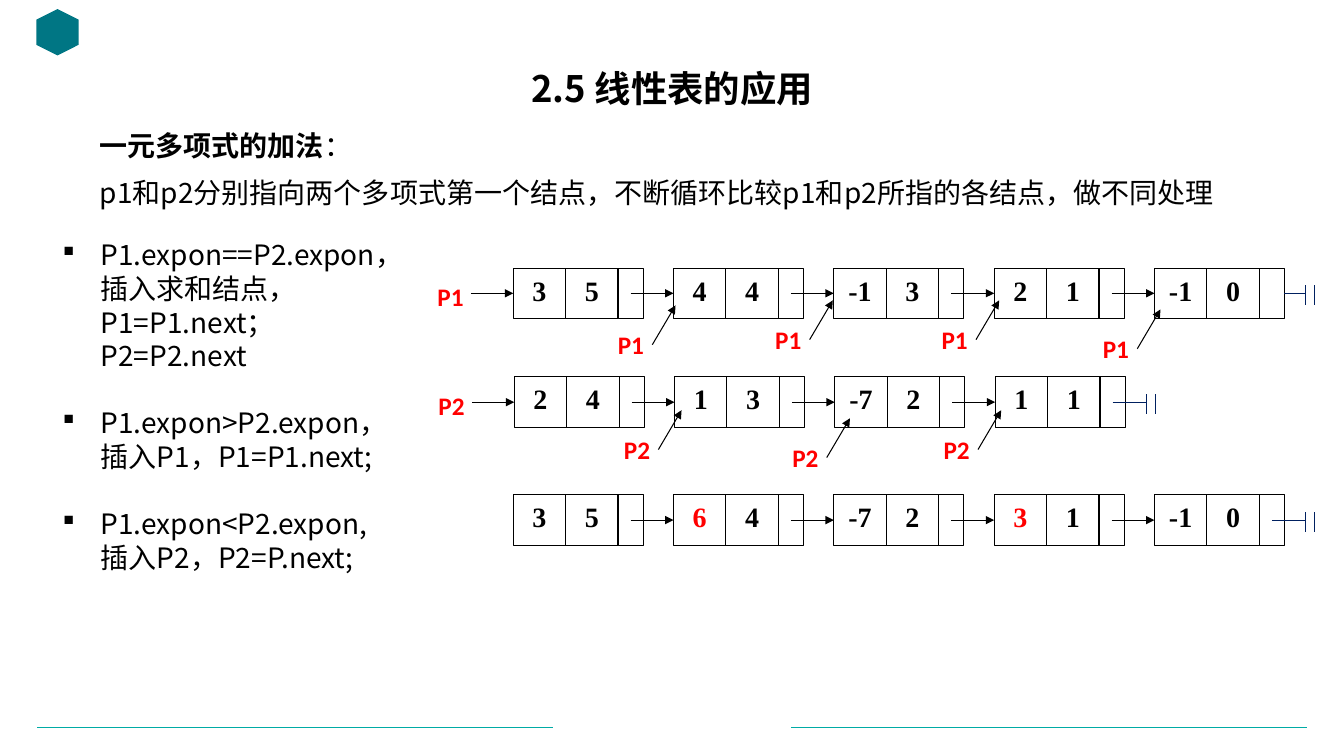
from lxml import etree
from pptx import Presentation
from pptx.dml.color import RGBColor
from pptx.enum.shapes import MSO_CONNECTOR, MSO_SHAPE
from pptx.enum.text import MSO_ANCHOR, PP_ALIGN
from pptx.oxml.ns import qn
from pptx.util import Inches, Pt

STRAIGHT = MSO_CONNECTOR.STRAIGHT
RECTANGLE, HEXAGON = MSO_SHAPE.RECTANGLE, MSO_SHAPE.HEXAGON
TOP, MIDDLE = MSO_ANCHOR.TOP, MSO_ANCHOR.MIDDLE
LEFT, CENTER = PP_ALIGN.LEFT, PP_ALIGN.CENTER
LEFT_SIDE = 1

COLORS = {"black": "000000", "white": "FFFFFF", "red": "FF0000",
          "navy": "002060", "teal": "00ABA5", "dark_teal": "007684"}
CJK, SERIF, SANS = "Noto Sans CJK SC", "Times New Roman", "Calibri"

# Node geometry in inches
VALUE_WIDTH, LINK_WIDTH, NODE_HEIGHT = 0.52, 0.25, 0.5
NODE_PITCH = 1.59
LINK_MIDDLE = 2 * VALUE_WIDTH + LINK_WIDTH / 2


def color(name):
    return RGBColor.from_string(COLORS[name])


def style_paragraph(paragraph, size, font_name, color_name="black", bold=False,
                    align=LEFT):
    paragraph.alignment = align
    font = paragraph.font
    font.size, font.name, font.bold = Pt(size), font_name, bold
    font.color.rgb = color(color_name)
    properties = paragraph._p.get_or_add_pPr().find(qn("a:defRPr"))
    etree.SubElement(properties, qn("a:ea"), typeface=font_name)


def add_text_frame(slide, left, top, width, height, anchor=TOP):
    box = slide.shapes.add_textbox(
        Inches(left), Inches(top), Inches(width), Inches(height))
    box.text_frame.word_wrap = True
    box.text_frame.vertical_anchor = anchor
    return box.text_frame


def add_line(slide, start, end, color_name="black", width=0.75, arrow=False):
    connector = slide.shapes.add_connector(
        STRAIGHT, *(Inches(value) for value in (*start, *end)))
    connector.line.color.rgb = color(color_name)
    connector.line.width = Pt(width)
    if arrow:
        etree.SubElement(connector.line._get_or_add_ln(), qn("a:tailEnd"), type="triangle")
    etree.SubElement(connector._element.spPr, qn("a:effectLst"))
    return connector


def add_frame(slide):
    """Footer rules and the plain corner ornament."""
    for left in (0.37, 7.85):
        add_line(slide, (left, 7.22), (left + 5.11, 7.22), "teal", 0.5)
    ornament = slide.shapes.add_shape(
        HEXAGON, Inches(0.34), Inches(0.11), Inches(0.46), Inches(0.42))
    ornament.rotation = 90
    ornament.shadow.inherit = False
    ornament.fill.solid()
    ornament.fill.fore_color.rgb = color("dark_teal")
    ornament.line.fill.background()


def add_heading(slide, left, top, width, height):
    paragraph = add_text_frame(slide, left, top, width, height, MIDDLE).paragraphs[0]
    paragraph.text = "2.5 线性表的应用"
    paragraph.line_spacing = 0.9
    style_paragraph(paragraph, 26, CJK, bold=True, align=CENTER)


def add_introduction(slide, left, top, width, height):
    frame = add_text_frame(slide, left, top, width, height)
    topic, explanation = frame.paragraphs[0], frame.add_paragraph()
    for text, bold in (("一元多项式的加法", True), ("：", False)):
        run = topic.add_run()
        run.text, run.font.bold = text, bold
    explanation.text = ("p1和p2分别指向两个多项式第一个结点，"
                        "不断循环比较p1和p2所指的各结点，做不同处理")
    for paragraph, spacing in ((topic, 26.4), (explanation, 33.6)):
        paragraph.line_spacing = Pt(spacing)
        style_paragraph(paragraph, 20, CJK)


def add_rules(slide, left, top, width, height):
    """Bulleted list of the three comparison cases."""
    rules = ("P1.expon==P2.expon，\v插入求和结点，\vP1=P1.next；\vP2=P2.next",
             "P1.expon>P2.expon，\v插入P1，P1=P1.next;",
             "P1.expon<P2.expon,\v插入P2，P2=P.next;")
    frame = add_text_frame(slide, left, top, width, height)
    for index, rule in enumerate(rules):
        paragraph = frame.add_paragraph() if index else frame.paragraphs[0]
        paragraph.text = rule
        paragraph.line_spacing = paragraph.space_after = Pt(24)
        properties = paragraph._p.get_or_add_pPr()
        properties.set("marL", str(Inches(0.38)))
        properties.set("indent", str(-Inches(0.38)))
        etree.SubElement(properties, qn("a:buFont"), typeface="Wingdings")
        etree.SubElement(properties, qn("a:buChar"), char="§")
        style_paragraph(paragraph, 20, CJK)


def add_cell(slide, left, top, width, text="", color_name="black"):
    cell = slide.shapes.add_shape(
        RECTANGLE, Inches(left), Inches(top), Inches(width), Inches(NODE_HEIGHT))
    cell.shadow.inherit = False
    cell.fill.solid()
    cell.fill.fore_color.rgb = color("white")
    cell.line.color.rgb = color("black")
    cell.line.width = Pt(0.75)
    if text:
        frame = cell.text_frame
        frame.vertical_anchor = TOP
        frame.margin_left = frame.margin_right = 0
        frame.paragraphs[0].text = text
        style_paragraph(frame.paragraphs[0], 20, SERIF, color_name, True, CENTER)
    return cell


def add_list_end(slide, left, middle, bar_left):
    """Null mark that closes a linked list."""
    add_line(slide, (left, middle), (bar_left, middle), "navy", 0.5)
    for bar in (bar_left, bar_left + 0.09):
        add_line(slide, (bar, middle - 0.08), (bar, middle + 0.12), "navy", 0.5)


def add_linked_list(slide, left, top, nodes, red_nodes=(), end_start=LINK_MIDDLE):
    """Draw a row of nodes and return its first cell."""
    middle = top + NODE_HEIGHT / 2
    first_cells = []
    for index, (coefficient, exponent) in enumerate(nodes):
        x = left + index * NODE_PITCH
        tint = "red" if index in red_nodes else "black"
        first_cells.append(add_cell(slide, x, top, VALUE_WIDTH, coefficient, tint))
        add_cell(slide, x + VALUE_WIDTH, top, VALUE_WIDTH, exponent)
        add_cell(slide, x + 2 * VALUE_WIDTH, top, LINK_WIDTH)
    for index, target in enumerate(first_cells[1:]):
        x = left + index * NODE_PITCH
        arrow = add_line(slide, (x + LINK_MIDDLE, middle),
                         (x + NODE_PITCH, middle), arrow=True)
        arrow.end_connect(target, LEFT_SIDE)
    add_list_end(slide, x + NODE_PITCH + end_start, middle, x + NODE_PITCH + 1.5)
    return first_cells[0]


def add_pointer_label(slide, left, top, name):
    paragraph = add_text_frame(slide, left, top, 0.6, 0.4).paragraphs[0]
    paragraph.text = name
    style_paragraph(paragraph, 18, SANS, "red", True)


def add_polynomial(slide, left, top, nodes, name, moves, end_start=LINK_MIDDLE):
    """Linked list with its head pointer and the later pointer positions."""
    head = add_linked_list(slide, left, top, nodes, end_start=end_start)
    middle = top + NODE_HEIGHT / 2
    add_pointer_label(slide, left - 0.85, middle - 0.17, name)
    arrow = add_line(slide, (left - 0.42, middle), (left, middle), arrow=True)
    arrow.end_connect(head, LEFT_SIDE)
    for x, y in moves:
        add_pointer_label(slide, x, y, name)
        add_line(slide, (x + 0.44, y + 0.2), (x + 0.67, y - 0.19), arrow=True)


def main():
    presentation = Presentation()
    presentation.slide_width, presentation.slide_height = Inches(13.33), Inches(7.5)
    slide = presentation.slides.add_slide(presentation.slide_layouts[6])

    add_frame(slide)
    add_heading(slide, 0.92, 0.62, 11.5, 0.57)
    add_introduction(slide, 0.89, 1.19, 11.84, 1.12)
    add_rules(slide, 0.52, 2.31, 3.81, 3.51)

    # Two operands and their sum
    add_polynomial(
        slide, 5.09, 2.66,
        [("3", "5"), ("4", "4"), ("-1", "3"), ("2", "1"), ("-1", "0")], "P1",
        [(6.03, 3.22), (7.59, 3.17), (9.24, 3.17), (10.84, 3.26)],
        end_start=2 * VALUE_WIDTH + LINK_WIDTH)
    add_polynomial(
        slide, 5.1, 3.74, [("2", "4"), ("1", "3"), ("-7", "2"), ("1", "1")], "P2",
        [(6.09, 4.26), (7.76, 4.34), (9.26, 4.26)])
    add_linked_list(
        slide, 5.09, 4.91,
        [("3", "5"), ("6", "4"), ("-7", "2"), ("3", "1"), ("-1", "0")],
        red_nodes=(1, 3))

    presentation.save("out.pptx")


if __name__ == "__main__":
    main()
